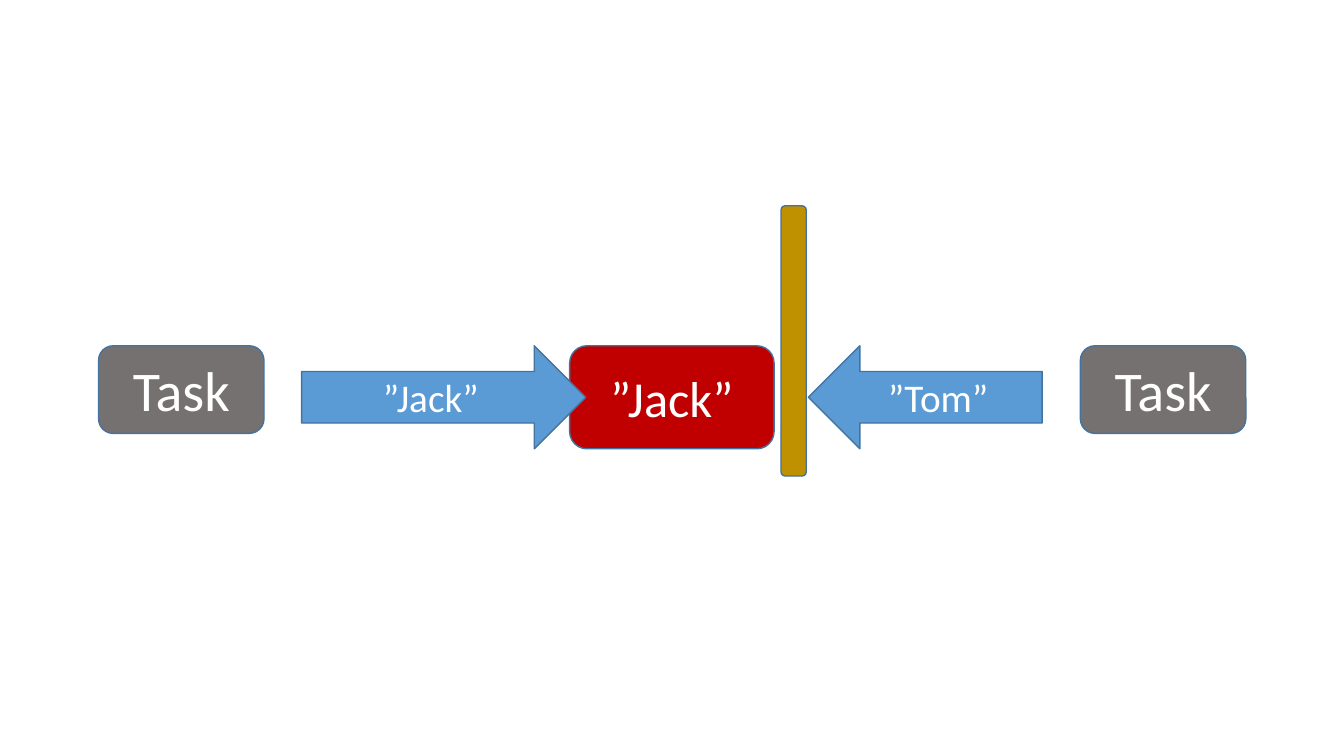
from pptx import Presentation
from pptx import util as u
from pptx.dml.color import RGBColor
from pptx.enum import shapes, text

GREY, BLUE, RED, GOLD = "767171", "5B9BD5", "C00000", "BF9000"
OUTLINE, WHITE = "43739E", "FFFFFF"
ROW_TOP = 247
ROW_HEIGHT = 73.6


def colour(hex_string):
    return RGBColor.from_string(hex_string)


def add_block(slide, kind, box, fill, label="", size=28):
    """Draw an outlined shape in box (left, top, width, height), in points."""
    shape = slide.shapes.add_shape(kind, *(u.Pt(length) for length in box))
    shape.shadow.inherit = False
    shape.fill.solid()
    shape.fill.fore_color.rgb = colour(fill)
    shape.line.color.rgb = colour(OUTLINE)
    shape.line.width = u.Pt(1)
    if label:
        frame = shape.text_frame
        frame.word_wrap = True
        frame.vertical_anchor = text.MSO_ANCHOR.MIDDLE
        paragraph = frame.paragraphs[0]
        paragraph.alignment = text.PP_ALIGN.CENTER
        run = paragraph.add_run()
        run.text = label
        run.font.name = "Calibri"
        run.font.size = u.Pt(size)
        run.font.color.rgb = colour(WHITE)


def add_channel_diagram(slide, left, top, height):
    """Draw two tasks sending names to one slot, the right one held by a barrier."""
    rounded = shapes.MSO_SHAPE.ROUNDED_RECTANGLE
    right_arrow = shapes.MSO_SHAPE.RIGHT_ARROW
    left_arrow = shapes.MSO_SHAPE.LEFT_ARROW

    for task_left in (left, left + 701.3):
        add_block(slide, rounded, (task_left, top, 118.2, 62.6), GREY, "Task", 40)
    add_block(slide, left_arrow, (left + 507, top, 167, height), BLUE, "”Tom”")
    add_block(slide, rounded, (left + 487.5, top - 100, 18, 193), GOLD)
    add_block(slide, rounded, (left + 336.5, top, 146, height), RED, "”Jack”", 36)
    add_block(slide, right_arrow, (left + 145, top, 203, height), BLUE, "”Jack”")


def main():
    presentation = Presentation()
    presentation.slide_width = u.Pt(960)
    presentation.slide_height = u.Pt(540)
    blank_layout = presentation.slide_layouts[6]
    slide = presentation.slides.add_slide(blank_layout)
    add_channel_diagram(slide, 70.4, ROW_TOP, ROW_HEIGHT)
    presentation.save("out.pptx")


if __name__ == "__main__":
    main()
